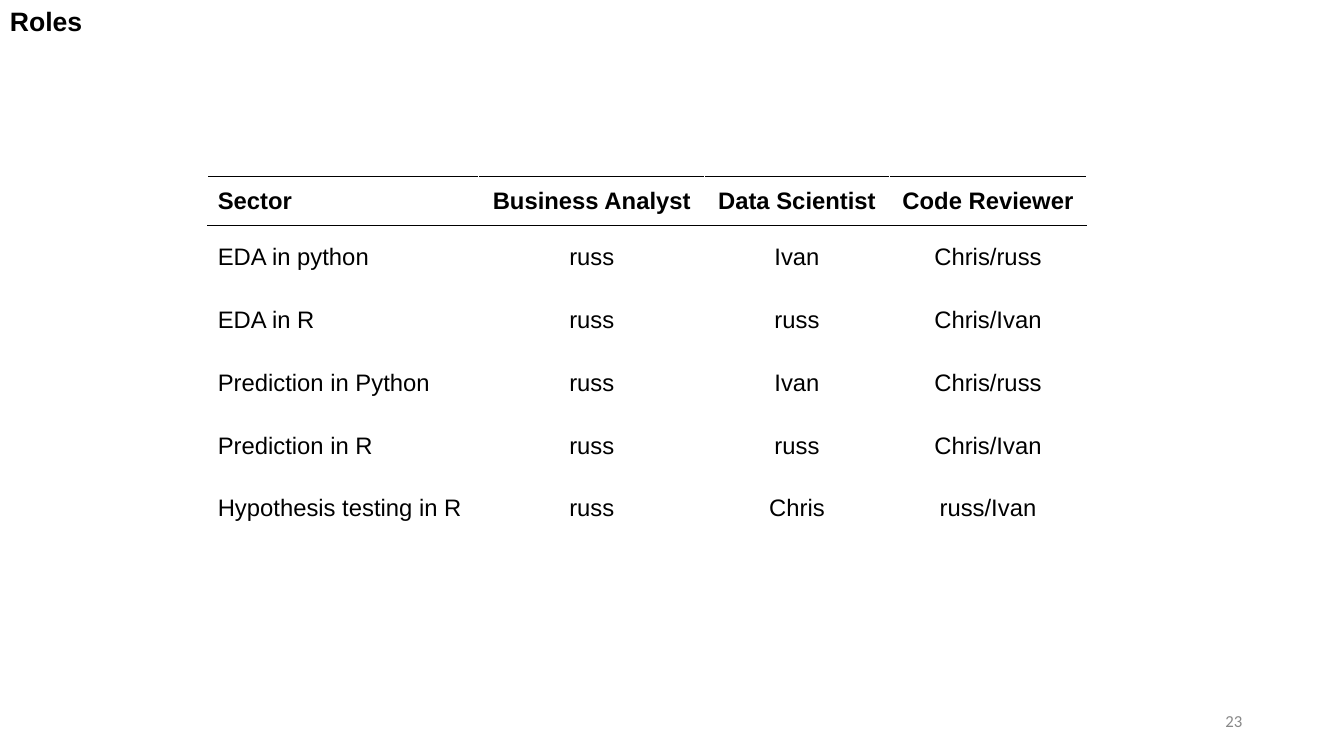
from dataclasses import dataclass

from lxml import etree
from pptx import Presentation
from pptx import util as u
from pptx.dml.color import RGBColor
from pptx.enum import text
from pptx.oxml import ns

BLACK = "000000"
GREY = "888888"
LEFT, CENTER, RIGHT = text.PP_ALIGN.LEFT, text.PP_ALIGN.CENTER, text.PP_ALIGN.RIGHT
MIDDLE, TOP = text.MSO_ANCHOR.MIDDLE, text.MSO_ANCHOR.TOP

WIDTHS = (2.69, 2.24, 1.83, 1.96)
HEAD_HEIGHT, ROW_HEIGHT = 0.49, 0.624
ROLES = (
    ("Sector", "Business Analyst", "Data Scientist", "Code Reviewer"),
    ("EDA in python", "russ", "Ivan", "Chris/russ"),
    ("EDA in R", "russ", "russ", "Chris/Ivan"),
    ("Prediction in Python", "russ", "Ivan", "Chris/russ"),
    ("Prediction in R", "russ", "russ", "Chris/Ivan"),
    ("Hypothesis testing in R", "russ", "Chris", "russ/Ivan"),
)
# Borders of the heading row and of the row below it
RULES = {0: ("lnT", "lnB"), 1: ("lnT",)}


@dataclass
class Style:
    size: float
    font: str = "Arial"
    color: str = BLACK
    bold: bool = False
    align: text.PP_ALIGN = LEFT


@dataclass
class Label:
    words: str
    box: tuple
    style: Style
    anchor: text.MSO_ANCHOR = TOP


LABELS = (
    Label("23", (9.42, 6.95, 3, 0.4), Style(12, "Calibri", GREY, align=RIGHT), MIDDLE),
    Label("Roles", (0, 0, 12.42, 0.42), Style(19, bold=True)),
)


def rgb(color: str) -> RGBColor:
    return RGBColor.from_string(color)


def write(frame, words: str, style: Style) -> None:
    frame.text = words
    line = frame.paragraphs[0]
    line.alignment = style.align
    line.font.size = u.Pt(style.size)
    line.font.name = style.font
    line.font.bold = style.bold
    line.font.color.rgb = rgb(style.color)


def add_label(slide, label: Label) -> None:
    frame = slide.shapes.add_textbox(*map(u.Inches, label.box)).text_frame
    frame.word_wrap = True
    frame.vertical_anchor = label.anchor
    write(frame, label.words, label.style)


def add_rule(cell, side: str) -> None:
    """Draw a one-point border on one side of a cell."""
    props = cell._tc.get_or_add_tcPr()
    line = etree.SubElement(props, ns.qn(f"a:{side}"), w=str(u.Pt(1)))
    fill = etree.SubElement(line, ns.qn("a:solidFill"))
    etree.SubElement(fill, ns.qn("a:srgbClr"), val=BLACK)


def add_roles(slide) -> None:
    height = HEAD_HEIGHT + ROW_HEIGHT * (len(ROLES) - 1)
    box = map(u.Inches, (2.06, 1.75, sum(WIDTHS), height))
    table = slide.shapes.add_table(len(ROLES), len(WIDTHS), *box).table
    table.first_row = table.horz_banding = False
    for column, width in zip(table.columns, WIDTHS):
        column.width = u.Inches(width)
    for r, names in enumerate(ROLES):
        table.rows[r].height = u.Inches(ROW_HEIGHT if r else HEAD_HEIGHT)
        for c, name in enumerate(names):
            cell = table.cell(r, c)
            cell.vertical_anchor = MIDDLE
            for side in RULES.get(r, ()):
                add_rule(cell, side)
            cell.fill.background()
            style = Style(17, bold=r == 0, align=CENTER if c else LEFT)
            write(cell.text_frame, name, style)


def main() -> None:
    deck = Presentation()
    deck.slide_width, deck.slide_height = u.Inches(13.33), u.Inches(7.5)
    slide = deck.slides.add_slide(deck.slide_layouts[6])
    for label in LABELS:
        add_label(slide, label)
    add_roles(slide)
    deck.save("out.pptx")


if __name__ == "__main__":
    main()
